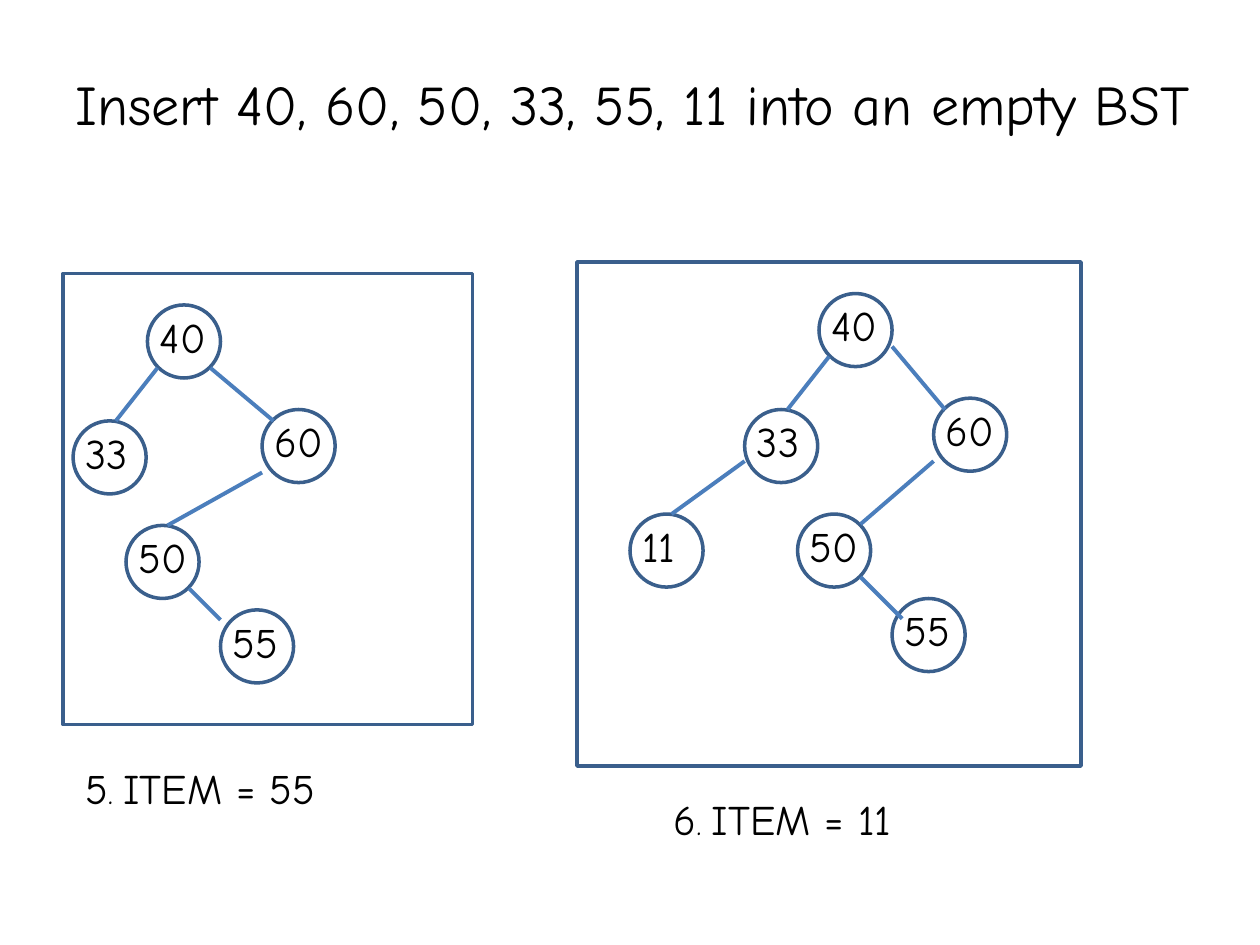
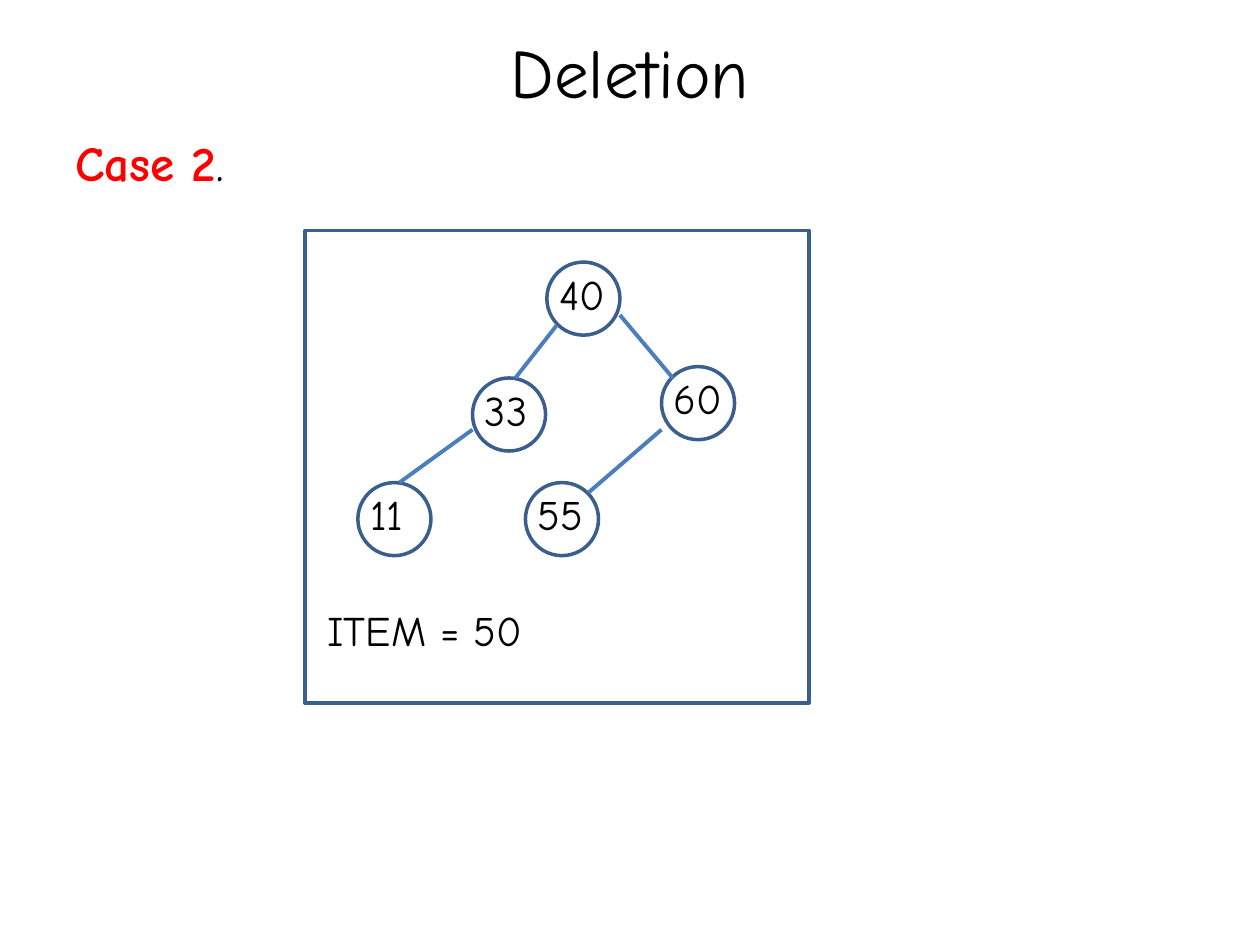
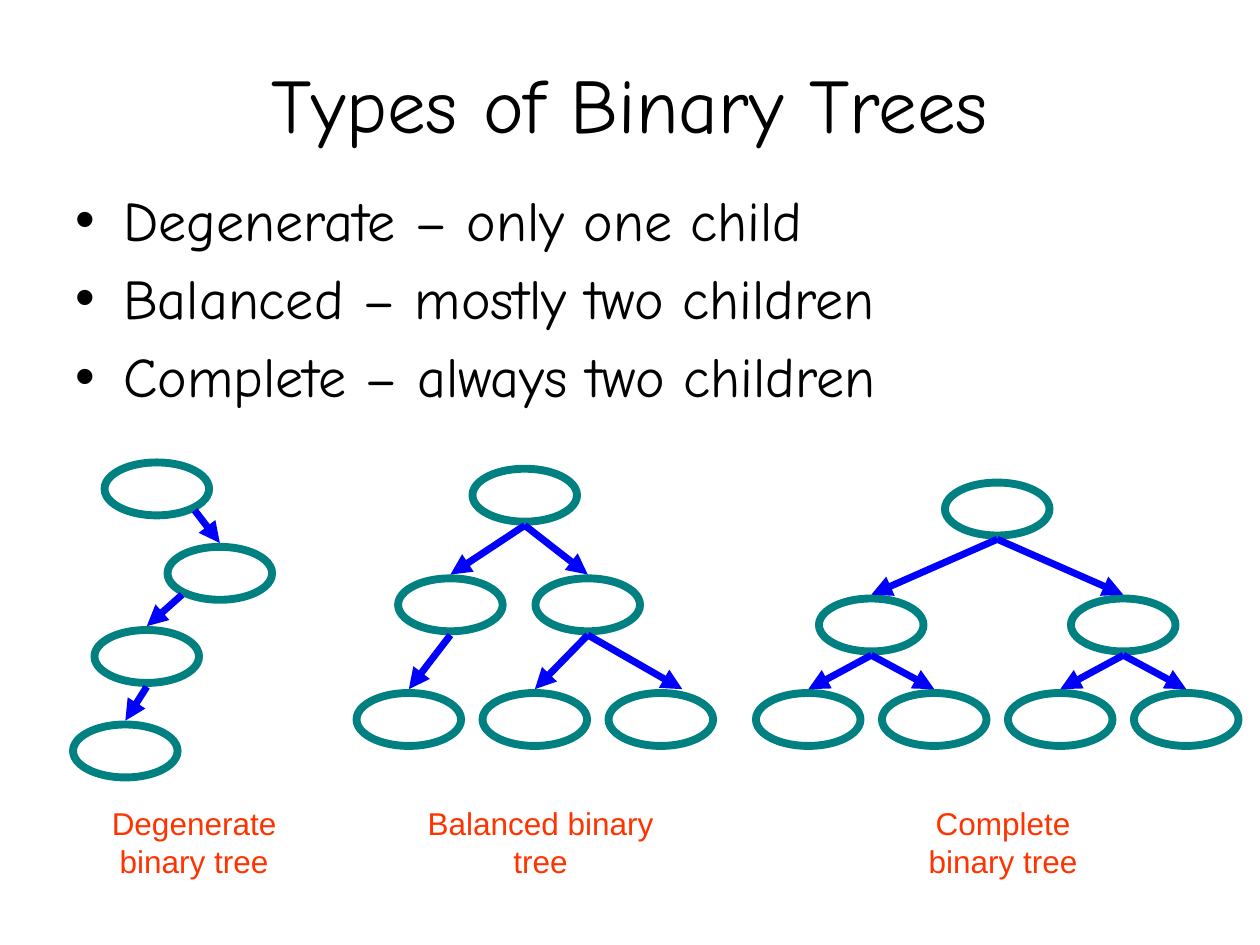
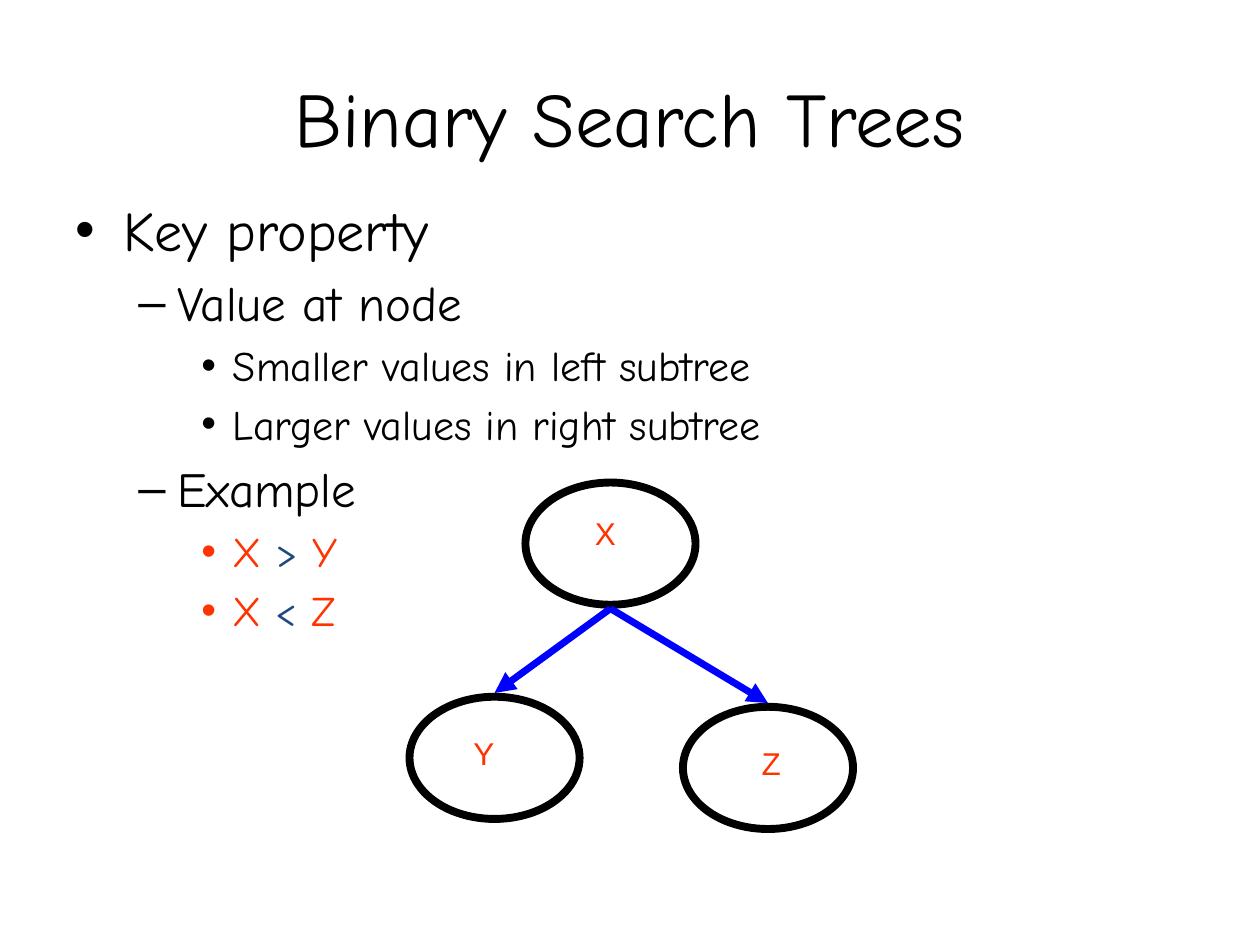
from lxml import etree
from pptx import Presentation
from pptx import util as u
from pptx.dml.color import RGBColor
from pptx.enum import shapes, text
from pptx.oxml import ns

HUES = {
    "ink": "000000", "frame": "3A5F8C", "edge": "4B7EBC", "red": "FF0000",
    "teal": "008080", "arrow": "0000FF", "flame": "FF3300", "navy": "1F497D",
}
HAND, SANS = "Comic Neue", "Arial"
LEVELS = [(32, 0.38, 0.38, "•"), (28, 0.81, 0.31, "–"), (24, 1.25, 0.25, "•")]
DISC = 0.58
GAP = 0.03

WIDE = {
    "root": (1.92, 0.25), "left": (1.33, 1.17), "right": (2.83, 1.08),
    "far": (0.42, 2), "mid": (1.75, 2), "low": (2.5, 2.67),
}
WIDE_EDGES = [
    ((2, 0.75), (1.67, 1.17)), ((1.33, 1.58), (0.75, 2)),
    ((2.5, 0.67), (2.92, 1.17)), ((2.83, 1.58), (2.25, 2.08)),
]
LOW_EDGE = ((2.25, 2.5), (2.58, 2.83))
SLIM = {
    "root": (0.67, 0.25), "left": (0.08, 1.17), "right": (1.58, 1.08),
    "mid": (0.5, 2), "low": (1.25, 2.67),
}
SLIM_EDGES = [
    ((0.75, 0.75), (0.42, 1.17)), ((1.17, 0.75), (1.67, 1.17)),
    ((1.58, 1.58), (0.83, 2)), ((1, 2.5), (1.25, 2.75)),
]


def hue(name):
    """Return a named colour."""
    return RGBColor.from_string(HUES[name])


def lens(vals):
    """Turn numbers into lengths in inches."""
    return [u.Inches(v) for v in vals]


def put(art, box, *paras, size=24, font=HAND, color="ink", bold=False,
        align="LEFT", anchor="TOP", lead=0):
    """Write paragraphs, each a string or a list of (words, format) runs."""
    frame = art.add_textbox(*lens(box)).text_frame
    frame.word_wrap = True
    frame.vertical_anchor = getattr(text.MSO_ANCHOR, anchor)
    for i, runs in enumerate(paras):
        para = frame.paragraphs[0] if i == 0 else frame.add_paragraph()
        para.alignment = getattr(text.PP_ALIGN, align)
        para.space_before = u.Pt(lead)
        for words, fmt in [(runs, {})] if isinstance(runs, str) else runs:
            if words == "\n":
                para.add_line_break()
                continue
            run = para.add_run()
            run.text = words
            run.font.name = font
            run.font.size = u.Pt(fmt.get("size", size))
            run.font.bold = fmt.get("bold", bold)
            run.font.color.rgb = hue(fmt.get("color", color))
    return frame


def title(art, top, high, words, size=44):
    """Write a centred slide title."""
    put(art, (0.5, top, 9, high), words, size=size, align="CENTER",
        anchor="MIDDLE")


def points(art, box, items):
    """Write a bulleted list of (level, runs) items."""
    frame = put(art, box, *[
        [(w, {"size": LEVELS[lvl][0], **fmt}) for w, fmt in runs]
        for lvl, runs in items])
    for para, (lvl, _) in zip(frame.paragraphs, items):
        size, left, hang, mark = LEVELS[lvl]
        para.level = lvl
        para.space_before = u.Pt(size * 0.2)
        props = para._p.get_or_add_pPr()
        props.set("marL", str(u.Inches(left)))
        props.set("indent", str(-u.Inches(hang)))
        etree.SubElement(props, ns.qn("a:buFont")).set("typeface", SANS)
        etree.SubElement(props, ns.qn("a:buChar")).set("char", mark)


def form(art, kind, box, color, wide):
    """Draw an unfilled outline shape."""
    item = art.add_shape(getattr(shapes.MSO_SHAPE, kind), *lens(box))
    item.shadow.inherit = False
    item.fill.background()
    item.line.color.rgb = hue(color)
    item.line.width = u.Pt(wide)


def link(art, start, end, color, wide, arrow=False):
    """Draw a straight line, with an arrowhead at its end if asked."""
    item = art.add_connector(shapes.MSO_CONNECTOR.STRAIGHT,
                             *lens((*start, *end)))
    item.line.color.rgb = hue(color)
    item.line.width = u.Pt(wide)
    props = item._element.spPr
    if arrow:
        tail = etree.SubElement(props.find(ns.qn("a:ln")), ns.qn("a:tailEnd"))
        tail.set("type", "triangle")
    etree.SubElement(props, ns.qn("a:effectLst"))


def search(slide, box, spots, edges, keys, note, at):
    """Draw a framed search tree with its keys and a note."""
    x, y = box[:2]
    art = slide.shapes.add_group_shape().shapes
    form(art, "RECTANGLE", box, "frame", 2)
    for spot, key in keys.items():
        dx, dy = spots[spot]
        form(art, "OVAL", (x + dx, y + dy, DISC, DISC), "frame", 2)
        put(art, (x + dx, y + dy, 0.67, 0.5), key)
    for ends in edges:
        link(art, *[(x + dx, y + dy) for dx, dy in ends], "edge", 2.25)
    put(art, (x + at[0], y + at[1], 2.25, 0.5), note)


def ovals(art, x, y, dots, links, size=(0.83, 0.42), color="teal"):
    """Draw ovals at offsets, with arrows (from, to, start shift, end shift)."""
    w, h = size
    for dx, dy in dots:
        form(art, "OVAL", (x + dx, y + dy, w, h), color, 4.5)
    for a, b, *shift in links:
        out, into = shift or (0, 0)
        drop = h + GAP - (0.07 if out else 0)
        start = (x + dots[a][0] + w / 2 + out, y + dots[a][1] + drop)
        end = (x + dots[b][0] + w / 2 + into, y + dots[b][1] - GAP)
        link(art, start, end, "arrow", 4, arrow=True)


def tag(art, box, words):
    """Write a centred label for a tree or node."""
    put(art, box, words, size=18, font=SANS, color="flame", align="CENTER")


def insert(slide):
    """Build the insertion slide."""
    put(slide.shapes, (0.5, 0.5, 9.25, 6.5),
        "Insert 40, 60, 50, 33, 55, 11 into an empty BST", size=32, lead=6.4)
    keys = {"root": "40", "right": "60", "mid": "50", "left": "33",
            "low": "55"}
    dot = (". ", {"size": 18})
    search(slide, (0.5, 2.17, 3.25, 3.58), SLIM, SLIM_EDGES, keys,
           [("5", {}), dot, ("ITEM = 55", {})], (0.08, 3.83))
    search(slide, (4.58, 2.08, 4, 4), WIDE, [*WIDE_EDGES, LOW_EDGE],
           {**keys, "far": "11"},
           [("6", {}), dot, ("ITEM = 11", {})], (0.67, 4.17))


def delete(slide):
    """Build the deletion slide."""
    art = slide.shapes
    title(art, 0.17, 0.78, "Deletion", size=39.6)
    put(art, (0.5, 1, 9, 6),
        [("Case 2", {"color": "red", "bold": True}), (".", {})],
        size=28, lead=5.6)
    search(slide, (2.42, 1.83, 4, 3.75), WIDE, WIDE_EDGES,
           {"root": "40", "right": "60", "mid": "55", "left": "33",
            "far": "11"}, "ITEM = 50", (0.08, 2.92))


def types(slide):
    """Build the slide of tree types."""
    art = slide.shapes
    title(art, 0.3, 1.03, "Types of Binary Trees")
    points(art, (0.5, 1.42, 9, 4.95), [(0, [(line, {})]) for line in (
        "Degenerate – only one child", "Balanced – mostly two children",
        "Complete – always two children")])
    ovals(art, 0.58, 3.67,
          [(0.25, 0), (0.75, 0.67), (0.17, 1.33), (0, 2.08)],
          [(0, 1, 0.3, 0), (1, 2, -0.3, 0), (2, 3)])
    ovals(art, 2.83, 3.72,
          [(0.92, 0), (0.33, 0.87), (1.42, 0.87)]
          + [(i, 1.78) for i in range(3)],
          [(0, 1), (0, 2), (1, 3), (2, 4), (2, 5, 0, 0.17)])
    ovals(art, 6, 3.83,
          [(1.5, 0), (0.5, 0.92), (2.5, 0.92)]
          + [(i, 1.67) for i in range(4)],
          [((i - 1) // 2, i) for i in range(1, 7)])
    for x, words in ((0.5, "Degenerate binary tree"),
                     (3.25, "Balanced binary tree"),
                     (6.92, [("Complete", {}), ("\n", {}),
                             ("binary tree", {})])):
        tag(art, (x, 6.33, 2.08, 0.9), words)


def rule(sign, name):
    """Return the runs that compare X with a child."""
    warm = {"color": "flame"}
    return [("X ", warm), (sign, {"color": "navy"}), (" " + name, warm)]


def key(slide):
    """Build the slide of the key property."""
    art = slide.shapes
    title(art, 0.3, 1.25, "Binary Search Trees")
    points(art, (0.5, 1.5, 9, 4.95), [
        (0, [("Key property", {})]),
        (1, [("Value at node", {})]),
        (2, [("Smaller values in left subtree", {})]),
        (2, [("Larger values in right subtree", {})]),
        (1, [("Example", {})]),
        (2, rule(">", "Y")),
        (2, rule("<", "Z")),
    ])
    x, y = 3.25, 3.83
    ovals(art, x, y, [(0.92, 0), (0, 1.7), (2.17, 1.78)], [(0, 2), (0, 1)],
          size=(1.35, 0.97), color="ink")
    for name, dx, dy, w in (("Y", 0.25, 1.95, 0.68), ("X", 1.08, 0.2, 0.95),
                            ("Z", 2.33, 2.03, 1.08)):
        tag(art, (x + dx, y + dy, w, 0.5), name)


def main():
    """Build and save the deck."""
    deck = Presentation()
    deck.slide_width, deck.slide_height = lens((10, 7.5))
    for build in (insert, delete, types, key):
        build(deck.slides.add_slide(deck.slide_layouts[6]))
    deck.save("out.pptx")


if __name__ == "__main__":
    main()
